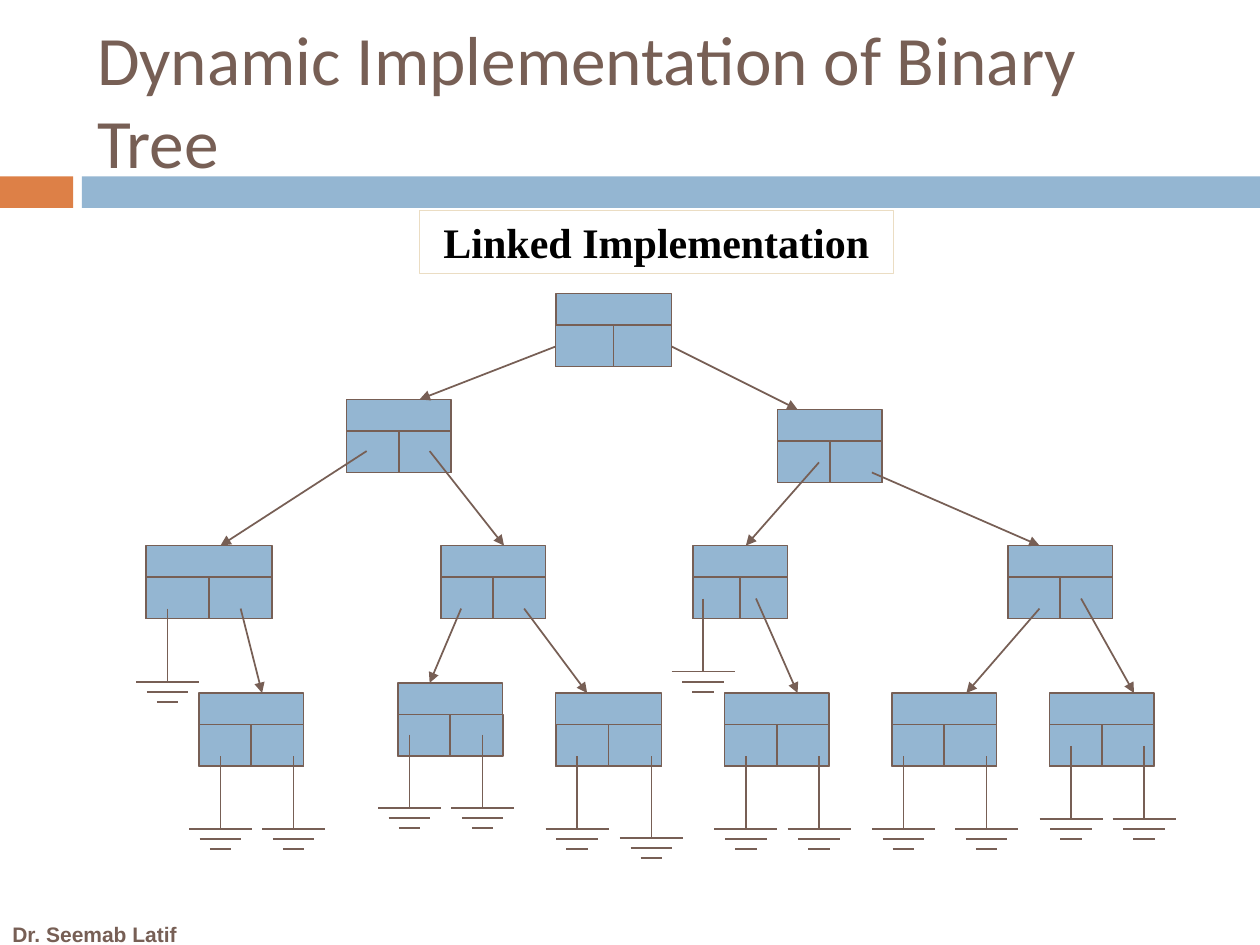
from dataclasses import dataclass

from lxml import etree
from pptx import Presentation
from pptx.dml.color import RGBColor
from pptx.enum.shapes import MSO_CONNECTOR, MSO_SHAPE
from pptx.enum.text import MSO_ANCHOR, MSO_AUTO_SIZE, PP_ALIGN
from pptx.oxml.ns import qn
from pptx.util import Inches, Pt

RECTANGLE = MSO_SHAPE.RECTANGLE
STRAIGHT = MSO_CONNECTOR.STRAIGHT
MIDDLE = MSO_ANCHOR.MIDDLE
LEFT, CENTER = PP_ALIGN.LEFT, PP_ALIGN.CENTER
TITLE_ONLY = 5


@dataclass(frozen=True)
class Theme:
    brown: RGBColor = RGBColor(0x77, 0x5F, 0x55)
    blue: RGBColor = RGBColor(0x94, 0xB6, 0xD2)
    orange: RGBColor = RGBColor(0xDD, 0x80, 0x47)
    cream: RGBColor = RGBColor(0xEB, 0xDD, 0xC3)
    black: RGBColor = RGBColor(0, 0, 0)
    title_size: float = 39.6
    caption_size: float = 24
    author_size: float = 12
    thin: float = 0.75
    line: float = 1


THEME = Theme()

HEADER_HEIGHT, NODE_HEIGHT = 0.25, 0.58
BAR_WIDTHS, BAR_STEP = (0.5, 0.33, 0.17), 0.08
STEM = 0.58

# Left, top and width of each tree node, level by level
NODES = [
    (4.41, 2.33, 0.92),
    (2.75, 3.17, 0.83), (6.17, 3.25, 0.83),
    (1.16, 4.33, 1), (3.5, 4.33, 0.83), (5.5, 4.33, 0.75), (8, 4.33, 0.83),
    (1.58, 5.5, 0.83), (3.16, 5.42, 0.83), (4.41, 5.5, 0.84),
    (5.75, 5.5, 0.83), (7.08, 5.5, 0.83), (8.33, 5.5, 0.83),
]
# Start and end of each pointer to a child
POINTERS = [
    ((4.41, 2.75), (3.33, 3.17)), ((5.33, 2.75), (6.33, 3.25)),
    ((2.91, 3.58), (1.75, 4.33)), ((3.41, 3.58), (4, 4.33)),
    ((6.5, 3.67), (5.92, 4.33)), ((6.92, 3.75), (8.25, 4.33)),
    ((1.91, 4.83), (2.08, 5.5)), ((3.66, 4.83), (3.41, 5.42)),
    ((4.16, 4.83), (4.66, 5.5)), ((6, 4.75), (6.33, 5.5)),
    ((8.25, 4.83), (7.67, 5.5)), ((8.58, 4.75), (9, 5.5)),
]
# Stem centre, top and length of each null pointer
NULLS = [
    (1.33, 4.83, STEM), (5.58, 4.75, STEM),
    (1.75, 6, STEM), (2.33, 6, STEM), (3.25, 5.83, STEM), (3.83, 5.83, STEM),
    (4.58, 6, STEM), (5.17, 6, 0.65), (5.92, 6, STEM), (6.5, 6, STEM),
    (7.17, 6, STEM), (7.83, 6, STEM), (8.5, 5.92, STEM), (9.08, 5.92, STEM),
]


def set_text(shape, text, font, size, color, bold=False, align=LEFT, wrap=True):
    frame = shape.text_frame
    frame_format = {"auto_size": MSO_AUTO_SIZE.NONE, "word_wrap": wrap,
                    "vertical_anchor": MIDDLE}
    for name, value in frame_format.items():
        setattr(frame, name, value)
    frame.text = text
    paragraph = frame.paragraphs[0]
    paragraph.alignment = align
    run_font = paragraph.runs[0].font
    for name, value in {"name": font, "size": Pt(size), "bold": bold}.items():
        setattr(run_font, name, value)
    run_font.color.rgb = color


def add_box(shapes, box, fill=None, line=None, width=THEME.line):
    shape = shapes.add_shape(RECTANGLE, *map(Inches, box))
    shape.shadow.inherit = False
    if fill is None:
        shape.fill.background()
    else:
        shape.fill.solid()
        shape.fill.fore_color.rgb = fill
    if line is None:
        shape.line.fill.background()
    else:
        shape.line.color.rgb = line
        shape.line.width = Pt(width)
    return shape


def add_line(shapes, start, end, arrow=False):
    connector = shapes.add_connector(STRAIGHT, *map(Inches, (*start, *end)))
    connector.line.color.rgb = THEME.brown
    connector.line.width = Pt(THEME.line)
    properties = connector._element.spPr
    if arrow:
        outline = properties.find(qn("a:ln"))
        etree.SubElement(outline, qn("a:tailEnd"), type="triangle")
    etree.SubElement(properties, qn("a:effectLst"))


def add_title(slide, left, top, width, height):
    title = slide.shapes.title
    position = {"left": left, "top": top, "width": width, "height": height}
    for name, value in position.items():
        setattr(title, name, Inches(value))
    set_text(title, "Dynamic Implementation of Binary Tree", "Calibri",
             THEME.title_size, THEME.brown)


def add_band(slide, left, top, width, height):
    """Draw the short accent and the long bar under the title."""
    accent, gap = 0.58, 0.07
    bar_left = left + accent + gap
    add_box(slide.shapes, (left, top, accent, height), THEME.orange)
    add_box(slide.shapes, (bar_left, top, left + width - bar_left, height), THEME.blue)


def add_author(slide, *box):
    author = slide.shapes.add_textbox(*map(Inches, box))
    set_text(author, "Dr. Seemab Latif", "Arial", THEME.author_size,
             THEME.brown, bold=True)


def add_caption(slide, *box):
    caption = add_box(slide.shapes, box, line=THEME.cream, width=THEME.thin)
    set_text(caption, "Linked Implementation", "Times New Roman",
             THEME.caption_size, THEME.black, bold=True, align=CENTER, wrap=False)


def add_node(slide, left, top, width):
    """Draw a data field above its left and right link fields."""
    node = slide.shapes.add_group_shape().shapes
    half = width / 2
    link_top, link_height = top + HEADER_HEIGHT, NODE_HEIGHT - HEADER_HEIGHT
    for field in ((left, top, width, NODE_HEIGHT),
                  (left, link_top, half, link_height),
                  (left + half, link_top, half, link_height)):
        add_box(node, field, THEME.blue, THEME.brown)


def add_null(slide, center, top, stem):
    """Draw a null pointer as a stem over three shrinking bars."""
    ground = slide.shapes.add_group_shape().shapes
    add_line(ground, (center, top), (center, top + stem))
    for row, width in enumerate(BAR_WIDTHS):
        y = top + stem + row * BAR_STEP
        add_line(ground, (center - width / 2, y), (center + width / 2, y))


def add_tree(slide):
    for node in NODES:
        add_node(slide, *node)
    for start, end in POINTERS:
        add_line(slide.shapes, start, end, arrow=True)
    for null in NULLS:
        add_null(slide, *null)


def main():
    deck = Presentation()
    deck.slide_width, deck.slide_height = Inches(10), Inches(7.5)
    slide = deck.slides.add_slide(deck.slide_layouts[TITLE_ONLY])
    add_title(slide, 0.67, 0.25, 8.92, 1.08)
    add_band(slide, 0, 1.4, 10, 0.25)
    add_author(slide, 0, 7.25, 1.83, 0.32)
    add_caption(slide, 3.33, 1.67, 3.76, 0.5)
    add_tree(slide)
    deck.save("out.pptx")


if __name__ == "__main__":
    main()
